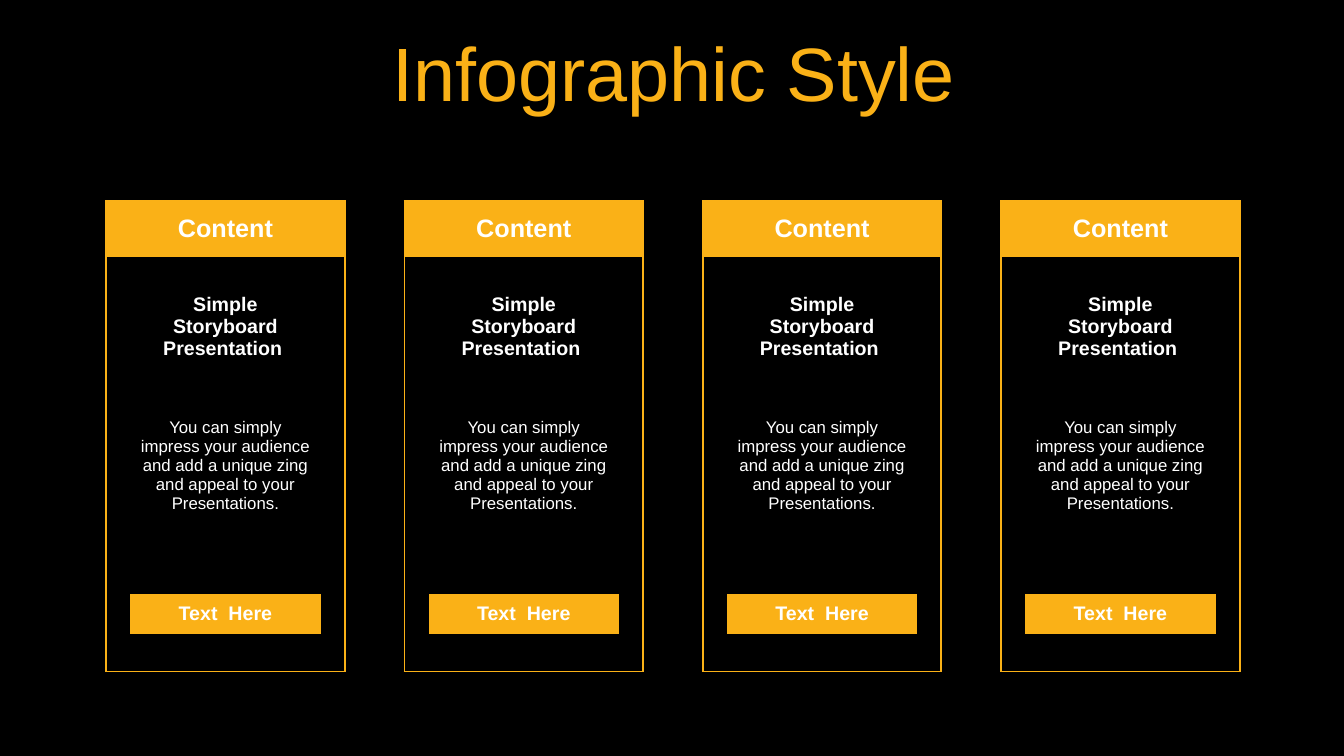
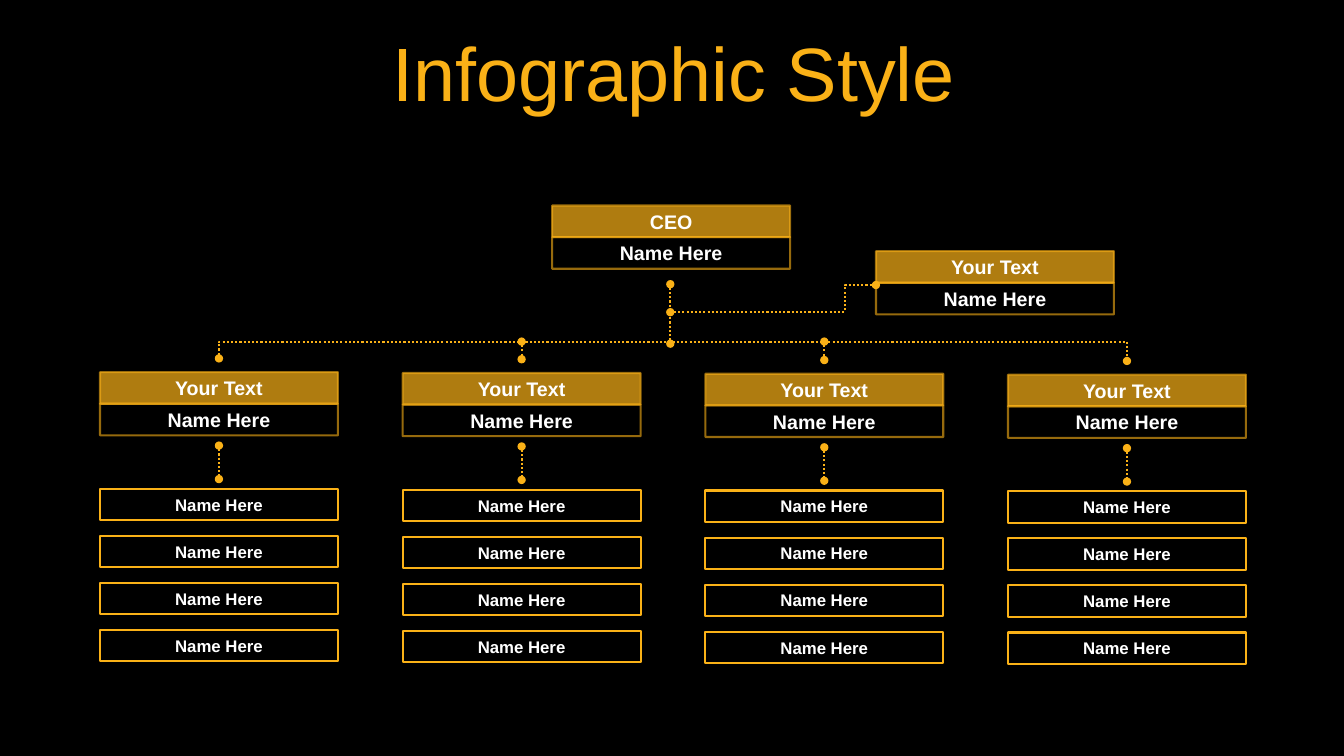
import lxml.etree
import pptx
import pptx.dml.color
import pptx.enum.dml
import pptx.enum.shapes
import pptx.enum.text
import pptx.oxml
import pptx.oxml.ns
import pptx.util

Pt = pptx.util.Pt
qn = pptx.oxml.ns.qn
MIDDLE = pptx.enum.text.MSO_ANCHOR.MIDDLE

BLACK = pptx.dml.color.RGBColor(0x00, 0x00, 0x00)
WHITE = pptx.dml.color.RGBColor(0xFF, 0xFF, 0xFF)
AMBER = pptx.dml.color.RGBColor(0xFA, 0xB1, 0x17)
FONT = "Arial"
LINE_WIDTH = Pt(1.5)
NO_STYLE_TABLE = "{2D5ABB26-0587-4C30-8999-92F81FD0307C}"


def write(frame, text, size, color=WHITE, bold=True):
    """Put one centred, formatted paragraph into a text frame."""
    paragraph = frame.paragraphs[0]
    paragraph.text = text
    paragraph.alignment = pptx.enum.text.PP_ALIGN.CENTER
    font = paragraph.runs[0].font
    font.name, font.size, font.bold = FONT, Pt(size), bold
    font.color.rgb = color
    return paragraph


def draw_route(shapes, points):
    """Draw a dotted line with round ends through points given in points."""
    stops = [(Pt(x), Pt(y)) for x, y in points]
    if len(stops) == 2:
        route = shapes.add_connector(
            pptx.enum.shapes.MSO_CONNECTOR.STRAIGHT, *stops[0], *stops[1])
    else:
        builder = shapes.build_freeform(*stops[0])
        builder.add_line_segments(stops[1:], close=False)
        route = builder.convert_to_shape()
        route.fill.background()
    route.line.color.rgb = AMBER
    route.line.width = LINE_WIDTH
    route.line.dash_style = pptx.enum.dml.MSO_LINE.ROUND_DOT
    properties = route._element.spPr
    outline = properties.find(qn("a:ln"))
    for end in ("a:headEnd", "a:tailEnd"):
        lxml.etree.SubElement(outline, qn(end), type="oval")
    lxml.etree.SubElement(properties, qn("a:effectLst"))


# Shared setup: size, background and title
deck = pptx.Presentation()
deck.slide_width, deck.slide_height = Pt(960), Pt(540)
backdrop = deck.slide_master.background.fill
backdrop.solid()
backdrop.fore_color.rgb = BLACK

slides = [deck.slides.add_slide(deck.slide_layouts[6]) for _ in range(2)]
for slide in slides:
    title = slide.shapes.add_textbox(Pt(25.2), Pt(26.6), Pt(912), Pt(57))
    title.text_frame.word_wrap = True
    title.text_frame.vertical_anchor = MIDDLE
    heading = write(title.text_frame, "Infographic Style", 54, AMBER, False)
    heading.line_spacing = 0.9
    heading.space_before = Pt(10)
cards_slide, chart_slide = slides

# Slide 1: four content cards
CARD_COLUMNS = (16.8, 136, 16.8)
CARD_ROWS = (40.3, 83.5, 60.5, 69.8, 26.6, 28.8, 26.6)
CARD_TEXTS = {  # row: text, size, bold
    0: ("Content", 18, True),
    1: ("Simple Storyboard Presentation ", 14, True),
    2: ("You can simply impress your audience and add a unique zing "
        "and appeal to your Presentations.", 12, False),
    5: ("Text  Here", 14, True),
}
AMBER_CELLS = {(0, 0), (0, 1), (0, 2), (5, 1)}
last_row, last_column = len(CARD_ROWS) - 1, len(CARD_COLUMNS) - 1

for number in range(4):
    card_frame = cards_slide.shapes.add_table(
        len(CARD_ROWS), len(CARD_COLUMNS), Pt(75.8 + 213.1 * number),
        Pt(143.6), Pt(sum(CARD_COLUMNS)), Pt(sum(CARD_ROWS)))
    card = card_frame.table
    card.first_row = card.horz_banding = False
    card._tbl.tblPr.find(qn("a:tableStyleId")).text = NO_STYLE_TABLE
    for column, width in zip(card.columns, CARD_COLUMNS):
        column.width = Pt(width)
    for row, height in zip(card.rows, CARD_ROWS):
        row.height = Pt(height)
    card.cell(2, 1).merge(card.cell(3, 1))

    for r in range(len(CARD_ROWS)):
        for c in range(len(CARD_COLUMNS)):
            cell = card.cell(r, c)
            cell.margin_top = cell.margin_bottom = 0
            cell.vertical_anchor = MIDDLE
            if (r, c) in AMBER_CELLS:
                cell.fill.solid()
                cell.fill.fore_color.rgb = AMBER
            else:
                cell.fill.background()
            if c == 1 and r in CARD_TEXTS:
                text, size, bold = CARD_TEXTS[r]
                write(cell.text_frame, text, size, bold=bold)

            # Only the outer edge of the card has a border
            edges = (("a:lnL", c == 0), ("a:lnR", c == last_column),
                     ("a:lnT", r == 0), ("a:lnB", r == last_row))
            outer = [tag for tag, is_outer in edges if is_outer]
            cell_properties = cell._tc.get_or_add_tcPr()
            for position, tag in enumerate(outer):
                border = lxml.etree.Element(qn(tag), w=str(int(LINE_WIDTH)))
                paint = lxml.etree.SubElement(border, qn("a:solidFill"))
                lxml.etree.SubElement(paint, qn("a:srgbClr"), val=str(AMBER))
                cell_properties.insert(position, border)
    card.cell(1, 1).margin_top = Pt(16)  # sets the subtitle lower in its row

# Slide 2: organisation chart
BOX_WIDTH, POST_HEIGHT, MEMBER_HEIGHT = 170, 22.6, 22.4
BUS_Y, CEO_X = 244, 478.8
DRIFT = 0.6  # each team sits slightly lower than the one before
teams = [(71.4 + 216.2 * i, DRIFT * i) for i in range(4)]
team_centers = [left + BOX_WIDTH / 2 for left, _ in teams]

# Posts are a tinted role box over a name box; members are single boxes
posts = [("CEO", 394.4, 146.8), ("Your Text", 625.7, 179.4)]
posts += [("Your Text", left, 265.8 + drop) for left, drop in teams]
boxes = []  # text, left, top, height, size, fill opacity, line opacity
for role, left, top in posts:
    boxes.append((role, left, top, POST_HEIGHT, 14, 70, 60))
    boxes.append(("Name Here", left, top + POST_HEIGHT, POST_HEIGHT, 14, 0, 60))
for left, drop in teams:
    for i in range(4):
        boxes.append(("Name Here", left, 349.2 + drop + 33.6 * i,
                      MEMBER_HEIGHT, 12, 0, 100))

# Dotted routes: bus, CEO stem, side branch, drops and team links
first_x, last_x = team_centers[0], team_centers[-1]
routes = [
    [(first_x, 256), (first_x, BUS_Y), (last_x, BUS_Y), (last_x, 257.8)],
    [(CEO_X, 203), (CEO_X, 245.5)],
    [(CEO_X, 223), (603.4, 223), (603.4, 203.6), (625.7, 203.6)],
]
for x, (_, drop) in list(zip(team_centers, teams))[1:-1]:
    routes.append([(x, BUS_Y), (x, 256 + drop)])
for x, (_, drop) in zip(team_centers, teams):
    routes.append([(x, 318.3 + drop), (x, 342.2 + drop)])
for points in routes:
    draw_route(chart_slide.shapes, points)

for text, left, top, height, size, fill_opacity, line_opacity in boxes:
    box = chart_slide.shapes.add_shape(
        pptx.enum.shapes.MSO_SHAPE.RECTANGLE,
        Pt(left), Pt(top), Pt(BOX_WIDTH), Pt(height))
    box.shadow.inherit = False
    box.line.color.rgb = AMBER
    box.line.width = LINE_WIDTH
    tints = [(box.line._get_or_add_ln(), line_opacity)]
    if fill_opacity:
        box.fill.solid()
        box.fill.fore_color.rgb = AMBER
        tints.append((box._element.spPr, fill_opacity))
    else:
        box.fill.background()
    for parent, opacity in tints:
        if opacity < 100:
            color = parent.find(qn("a:solidFill")).find(qn("a:srgbClr"))
            lxml.etree.SubElement(color, qn("a:alpha"), val=str(opacity * 1000))
    box.text_frame.margin_top = box.text_frame.margin_bottom = 0
    box.text_frame.vertical_anchor = MIDDLE
    write(box.text_frame, text, size)

deck.save("out.pptx")
